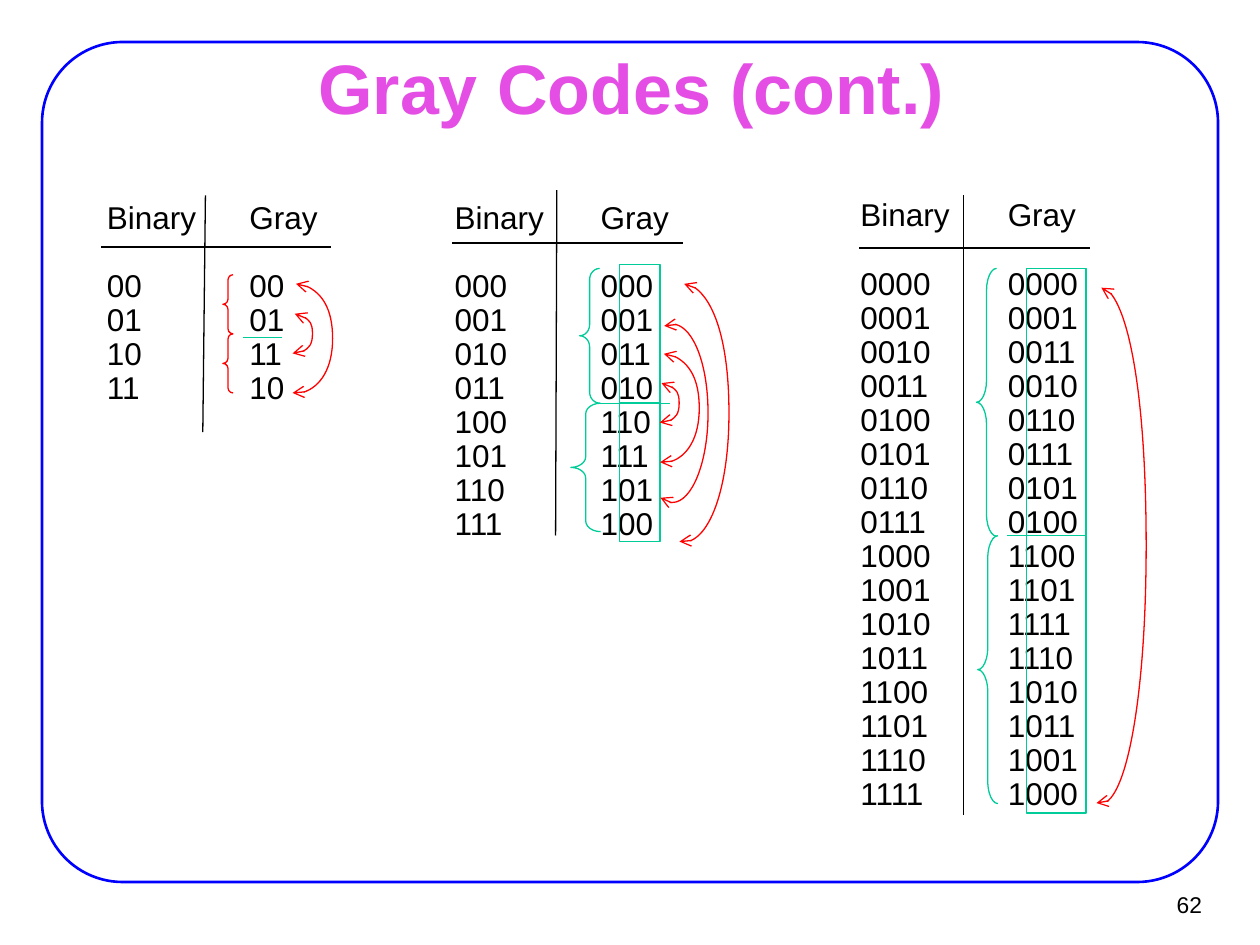
from lxml import etree
from pptx import Presentation
from pptx import util as u
from pptx.dml.color import RGBColor
from pptx.enum import shapes, text
from pptx.oxml.ns import qn

Pt = u.Pt

# Content: each table has its bit count, column positions and rule lines
TITLE = "Gray Codes (cont.)"
PAGE = "62"
HEADINGS = ("Binary", "Gray")
CODE_TABLES = [
    dict(bits=2, top=111.6, lefts=(54, 135.4), widths=(65.5, 53.3),
         rules=[(57.6, 141.1, 189.4, 141.1), (117.4, 111.6, 115.9, 247)]),
    dict(bits=3, top=111.6, lefts=(252.7, 336.2), widths=(65.5, 53.3),
         rules=[(258.5, 138.8, 390.2, 138.8), (318.2, 108.7, 317.5, 306)]),
    dict(bits=4, top=110.2, lefts=(484.6, 568.8), widths=(65.5, 54.7),
         rules=[(491, 141.8, 622.8, 141.8), (550.8, 111.6, 550.8, 465.8)]),
]
# Mirror lines between the halves: left, y, right
MIRROR_LINES = [(139, 193, 161.3), (342.7, 230.4, 383), (575.3, 306.2, 614.9)]
# Braces: left, top, width, height, curl, colour
BRACES = [
    (127.4, 157, 5.8, 33.8, 0.5, "red"),
    (127.4, 190.8, 5.8, 33.8, 0.5, "red"),
    (331.2, 153.4, 11.5, 77, 0.55, "green"),
    (326.2, 230.4, 17, 73.4, 0.36, "green"),
    (558, 153.4, 11.5, 153, 1.1, "green"),
    (558.7, 306.2, 11.5, 153, 1.12, "green"),
]
# Boxes around the repeated bits: left, top, width, height
REPEATED_BITS = [
    (354.2, 151.2, 23, 79.2), (354.2, 230.4, 23, 79.2),
    (586.8, 153.4, 33.8, 152.8), (586.8, 306.2, 33.8, 158.4),
]
# Reflection arrows: centre x, top, bottom, radius, end point, start point
REFLECTIONS = [
    (169.2, 162.2, 224.8, 20.9, (167.2, 224.6), None),
    (168.5, 179.3, 202.2, 10.1, (167.2, 202), None),
    (378, 218.9, 241.9, 10.1, (377, 241.5), None),
    (379.4, 202.2, 264.4, 20.2, (377.2, 264.2), None),
    (384.2, 185.2, 287.2, 20.4, (377.4, 284.5), (379.6, 186.3)),
    (391, 162.2, 309.8, 25.6, (388.3, 309.5), None),
    (629.4, 164.4, 459.2, 25.6, (626.6, 458.9), None),
]

THEME = dict(
    font="Arial", title=40, body=18, page=13, pitch=19.45, thin=0.75, frame=1.5,
    black="000000", blue="0000FF", pink="E44EE4", red="FF0000", green="00CC99",
)
BEZIER = 0.55

prs = Presentation()
prs.slide_width, prs.slide_height = Pt(720), Pt(540)
slide = prs.slides.add_slide(prs.slide_layouts[5])


def rgb(name):
    return RGBColor.from_string(THEME[name])


def write(box, lines, size, color="black", bold=False, align=text.PP_ALIGN.LEFT,
          inset=(7.2, 3.6), pitch=None, wrap=False,
          fit=text.MSO_AUTO_SIZE.SHAPE_TO_FIT_TEXT):
    frame = box.text_frame
    frame.text = "\n".join(lines)
    frame.word_wrap, frame.auto_size = wrap, fit
    frame.vertical_anchor = text.MSO_ANCHOR.MIDDLE
    frame.margin_left = frame.margin_right = Pt(inset[0])
    frame.margin_top = frame.margin_bottom = Pt(inset[1])
    for paragraph in frame.paragraphs:
        paragraph.alignment = align
        if pitch:
            paragraph.line_spacing = Pt(pitch)
        font = paragraph.runs[0].font
        font.name, font.size, font.bold = THEME["font"], Pt(THEME[size]), bold
        font.color.rgb = rgb(color)
    return frame


def outline(part, color, width="thin"):
    part.line.color.rgb = rgb(color)
    part.line.width = Pt(THEME[width])


def add_outlined(kind, bounds, color, width="thin", adjust=None):
    part = slide.shapes.add_shape(kind, *map(Pt, bounds))
    part.fill.background()
    part.shadow.inherit = False
    outline(part, color, width)
    if adjust is not None:
        part.adjustments[0] = adjust


def add_line(x1, y1, x2, y2, color):
    line = slide.shapes.add_connector(
        shapes.MSO_CONNECTOR.STRAIGHT, *map(Pt, (x1, y1, x2, y2)))
    outline(line, color)
    etree.SubElement(line.element.spPr, qn("a:effectLst"))


def add_reflection(cx, top, bottom, radius, end, start):
    ry = (bottom - top) / 2
    mid, right, bulge = top + ry, cx + radius, cx + BEZIER * radius
    points = [(bulge, top), (right, mid - BEZIER * ry), (right, mid),
              (right, mid + BEZIER * ry), (bulge, bottom), (cx, bottom),
              ((2 * cx + end[0]) / 3, bottom), ((cx + 2 * end[0]) / 3, bottom), end]
    if start:
        lead = (cx - start[0]) / 3
        points = [(cx - 2 * lead, top), (cx - lead, top), (cx, top)] + points
    first = start or (cx, top)
    builder = slide.shapes.build_freeform(Pt(first[0]), Pt(first[1]))
    builder.add_line_segments([(Pt(x), Pt(y)) for x, y in points], close=False)
    arrow = builder.convert_to_shape()
    arrow.fill.background()
    arrow.shadow.inherit = False
    outline(arrow, "red")
    # Every three points make one Bezier curve
    track = arrow.element.spPr.find(".//" + qn("a:path"))
    steps = track.findall(qn("a:lnTo"))
    for i in range(0, len(steps), 3):
        curve = etree.SubElement(track, qn("a:cubicBezTo"))
        for step in steps[i:i + 3]:
            curve.append(step[0])
            track.remove(step)
    for tip in ("a:headEnd", "a:tailEnd"):
        etree.SubElement(arrow.element.spPr.find(qn("a:ln")), qn(tip), type="arrow")


# Frame, title and page number
add_outlined(shapes.MSO_SHAPE.ROUNDED_RECTANGLE, (24, 24, 672, 480), "blue", "frame", 0.096)
title = slide.shapes.title
title.left, title.top, title.width, title.height = map(Pt, (54.7, 31.7, 612, 35.3))
write(title, [TITLE], "title", "pink", bold=True, align=text.PP_ALIGN.CENTER,
      inset=(7.9, 4.3), wrap=True, fit=text.MSO_AUTO_SIZE.NONE)
page = slide.shapes.add_textbox(*map(Pt, (649.4, 503.3, 43.9, 26.6)))
write(page, [PAGE], "page", align=text.PP_ALIGN.RIGHT, inset=(6.5, 2.9),
      fit=text.MSO_AUTO_SIZE.NONE)

# Code tables: the Gray code of i is i XOR i/2
for table in CODE_TABLES:
    bits = table["bits"]
    numbers = range(2 ** bits)
    columns = (numbers, [i ^ (i >> 1) for i in numbers])
    height = (len(numbers) + 2) * THEME["pitch"] + 7.2
    for heading, codes, left, width in zip(
            HEADINGS, columns, table["lefts"], table["widths"]):
        column = slide.shapes.add_textbox(*map(Pt, (left, table["top"], width, height)))
        lines = [heading] + [f"{code:0{bits}b}" for code in codes]
        frame = write(column, lines, "body", pitch=THEME["pitch"])
        frame.paragraphs[1].space_before = Pt(THEME["pitch"])
    for rule in table["rules"]:
        add_line(*rule, "black")

# Mirror lines, braces, boxes and reflection arrows
for left, y, right in MIRROR_LINES:
    add_line(left, y, right, y, "green")
for *bounds, curl, color in BRACES:
    add_outlined(shapes.MSO_SHAPE.LEFT_BRACE, bounds, color, adjust=curl)
for bounds in REPEATED_BITS:
    add_outlined(shapes.MSO_SHAPE.RECTANGLE, bounds, "green")
for reflection in REFLECTIONS:
    add_reflection(*reflection)

prs.save("out.pptx")
